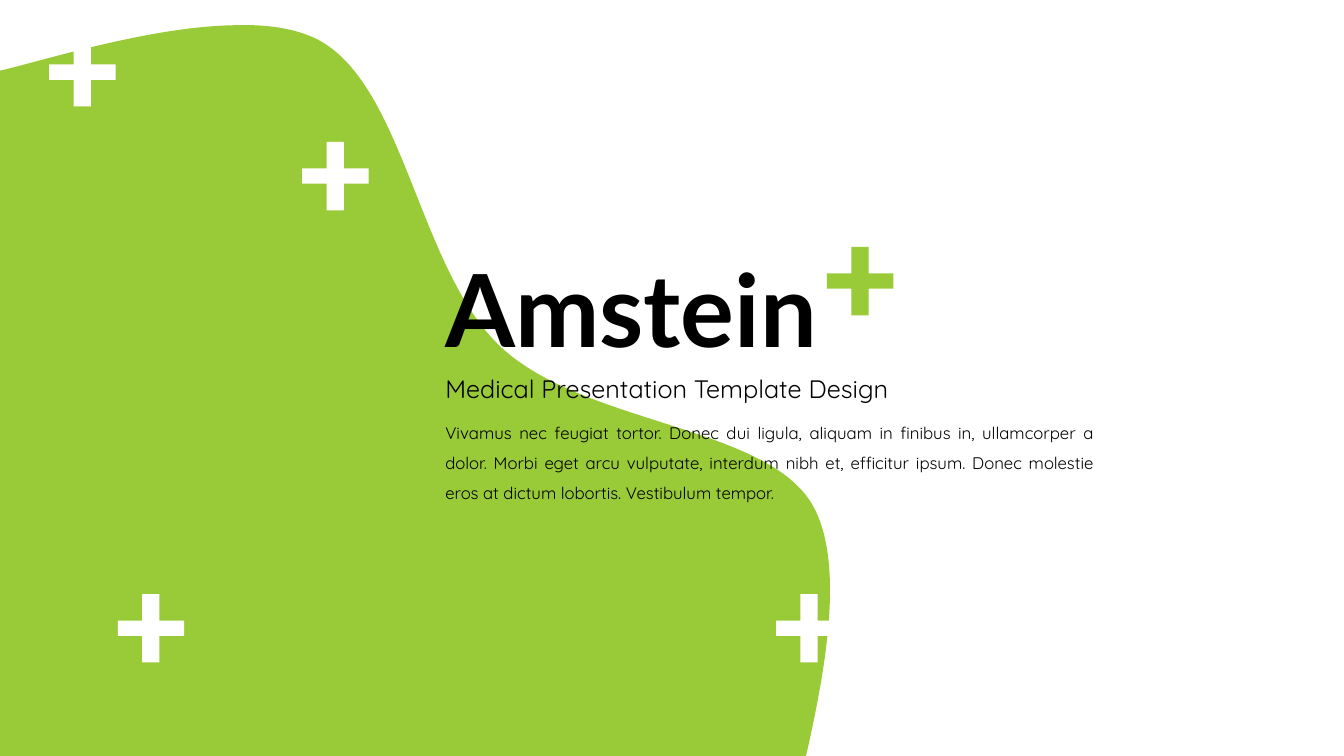
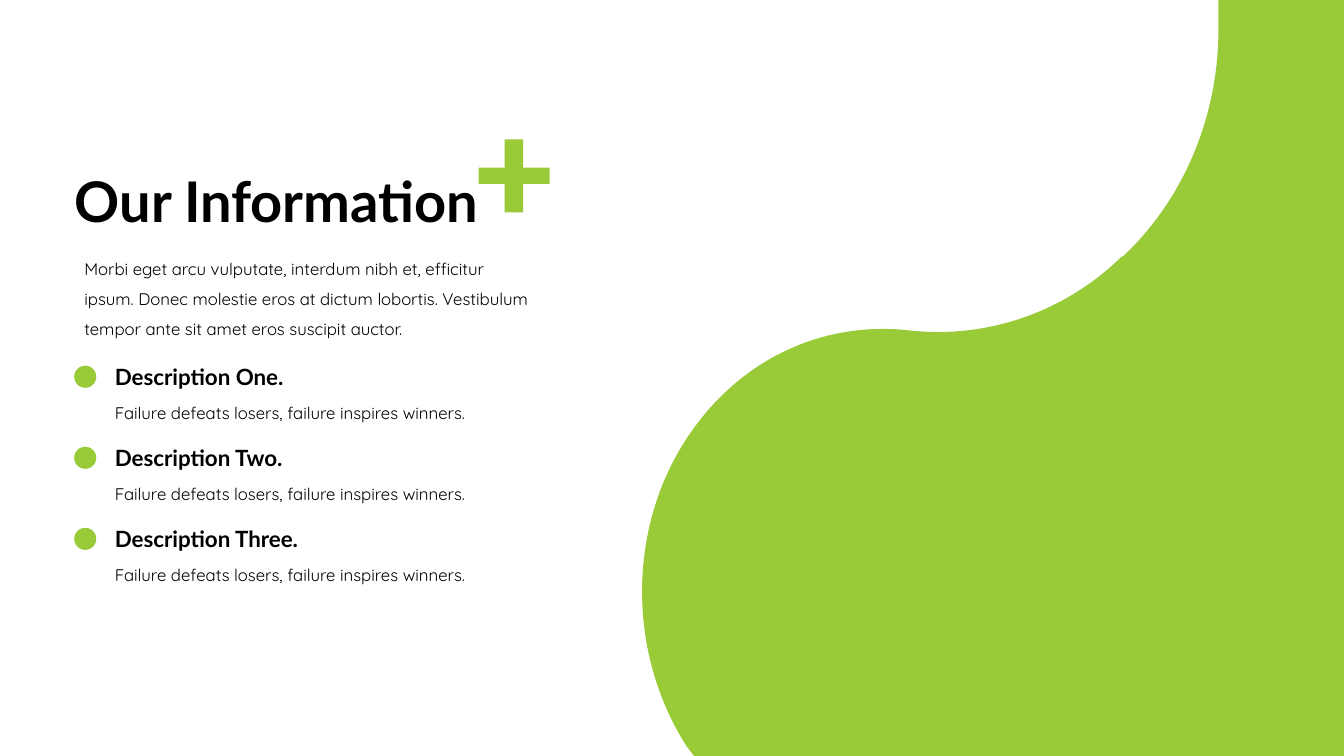
from lxml import etree
from pptx import Presentation
from pptx.dml.color import RGBColor
from pptx.enum.shapes import MSO_SHAPE
from pptx.enum.text import MSO_ANCHOR, MSO_AUTO_SIZE, PP_ALIGN
from pptx.oxml.ns import qn
from pptx.util import Pt

# Shared look
WIDTH, HEIGHT = 960.5, 540
GREEN, WHITE, BLACK = "99CB38", "FFFFFF", "000000"
HEAD_FONT, BODY_FONT = "Lato", "Quicksand"
TITLE_ONLY = 5
OVAL = MSO_SHAPE.OVAL
LEFT, JUSTIFY = PP_ALIGN.LEFT, PP_ALIGN.JUSTIFY
TOP, MIDDLE = MSO_ANCHOR.TOP, MSO_ANCHOR.MIDDLE
FIT_SHAPE, NO_FIT = MSO_AUTO_SIZE.SHAPE_TO_FIT_TEXT, MSO_AUTO_SIZE.NONE

# Outlines: one point is a straight line, three points are a Bézier curve
COVER_WAVE = [
    [(168.5, 18)],
    [(112.3, 18.7), (43.2, 39.6), (3.6, 49.7)],
    [(0, 50.4)], [(0, HEIGHT)], [(576, HEIGHT)], [(577.4, 534.2)],
    [(589, 481), (605.5, 398.9), (578.9, 357.8)],
    [(543.6, 303.8), (416.2, 302.4), (357.8, 247.7)],
    [(298.8, 192.2), (289.4, 60.5), (226.8, 28.1)],
    [(211, 20.2), (190.8, 17.3), (168.5, 18)],
]
INFO_WAVE = [
    [(870.7, 0)], [(WIDTH, 0)], [(WIDTH, HEIGHT)], [(496, HEIGHT)], [(491, 533.5)],
    [(447.8, 466.6), (447.8, 375.1), (493.2, 309.6)],
    [(531.4, 254.2), (591.1, 229), (650.9, 236.2)],
    [(705.6, 241.9), (760.3, 223.2), (800.6, 184.3)],
    [(801.4, 183.6), (802.1, 182.9), (802.8, 182.9)],
    [(846.7, 141.8), (871.9, 80.6), (870.7, 17.3)],
    [(870.7, 0)],
]
PLUS = [(17.5, 0), (29.8, 0), (29.8, 18.9), (47.5, 18.9), (47.5, 29.8), (29.8, 29.8),
        (29.8, 48.8), (17.5, 48.8), (17.5, 29.8), (0, 29.8), (0, 18.9), (17.5, 18.9)]


def rgb(color):
    return RGBColor.from_string(color)


def paint(sp, color):
    sp.fill.solid()
    sp.fill.fore_color.rgb = rgb(color)
    sp.line.fill.background()
    sp.shadow.inherit = False


def add_polygon(slide, points, color):
    points = [(Pt(x), Pt(y)) for x, y in points]
    builder = slide.shapes.build_freeform(*points[0], scale=1.0)
    builder.add_line_segments(points[1:], close=True)
    sp = builder.convert_to_shape()
    paint(sp, color)
    return sp


def add_wave(slide, outline, x, y, w, h):
    """Draw an outline with true curves; x, y, w, h are its bounds."""
    sp = add_polygon(slide, [step[-1] for step in outline], GREEN)
    sp.left, sp.top, sp.width, sp.height = Pt(x), Pt(y), Pt(w), Pt(h)
    curve = next(sp.element.iter(qn("a:path")))
    for child in list(curve):
        curve.remove(child)
    curve.set("w", str(Pt(w)))
    curve.set("h", str(Pt(h)))
    for i, step in enumerate(outline):
        tag = "a:moveTo" if i == 0 else "a:lnTo" if len(step) == 1 else "a:cubicBezTo"
        command = etree.SubElement(curve, qn(tag))
        for px, py in step:
            etree.SubElement(command, qn("a:pt"), x=str(Pt(px - x)), y=str(Pt(py - y)))
    etree.SubElement(curve, qn("a:close"))


def add_plus(slide, x, y, color, scale=1):
    add_polygon(slide, [(x + scale * dx, y + scale * dy) for dx, dy in PLUS], color)


def write(tf, text, size, font, bold=False, align=LEFT, spacing=1.0, anchor=TOP):
    tf.word_wrap = True
    tf.vertical_anchor = anchor
    p = tf.paragraphs[0]
    p.alignment = align
    p.line_spacing = spacing
    r = p.add_run()
    r.text = text
    r.font.size = Pt(size)
    r.font.name = font
    r.font.bold = bold
    r.font.color.rgb = rgb(BLACK)


def add_text(shapes, x, y, w, h, text, size=12, font=BODY_FONT, **style):
    sp = shapes.add_textbox(Pt(x), Pt(y), Pt(w), Pt(h))
    write(sp.text_frame, text, size, font, **style)
    sp.text_frame.auto_size = FIT_SHAPE


def set_title(slide, x, y, w, text, size):
    sp = slide.shapes.title
    sp.left, sp.top, sp.width, sp.height = Pt(x), Pt(y), Pt(w), Pt(104.4)
    write(sp.text_frame, text, size, HEAD_FONT, bold=True, spacing=0.9, anchor=MIDDLE)
    sp.text_frame.auto_size = NO_FIT
    # The title lies in front of the wave
    sp.element.getparent().append(sp.element)


def add_item(slide, y, heading, text):
    shapes = slide.shapes.add_group_shape().shapes
    add_text(shapes, 75, y, 205, 26.6, heading, 16, HEAD_FONT, bold=True, anchor=MIDDLE)
    add_text(shapes, 75, y + 21.3, 291.6, 28.8, text, align=JUSTIFY, spacing=1.5)
    dot = shapes.add_shape(OVAL, Pt(53), Pt(y + 5.5), Pt(15.8), Pt(15.8))
    paint(dot, GREEN)


def build_cover(slide):
    left = 311.2
    add_wave(slide, COVER_WAVE, 0, 18, 593.3, 522)
    add_text(slide.shapes, left, 262.8, 366, 28.8,
             "Medical Presentation Template Design", 18)
    add_text(slide.shapes, left, 290.9, 478, 72,
             "Vivamus nec feugiat tortor. Donec dui ligula, aliquam in finibus in, "
             "ullamcorper a dolor. Morbi eget arcu vulputate, interdum nibh et, "
             "efficitur ipsum. Donec molestie eros at dictum lobortis. "
             "Vestibulum tempor.", align=JUSTIFY, spacing=1.5)
    add_plus(slide, 591, 176.4, GREEN)
    for x, y in [(216, 101.4), (84.2, 424.4), (35.2, 27.2), (554.6, 424.4)]:
        add_plus(slide, x, y, WHITE)
    set_title(slide, left, 172.8, WIDTH - left, "Amstein", 72)


def build_information(slide):
    add_wave(slide, INFO_WAVE, 458.8, 0, WIDTH - 458.8, HEIGHT)
    for i, number in enumerate(["One", "Two", "Three"]):
        add_item(slide, 255.7 + 57.9 * i, f"Description {number}.",
                 "Failure defeats losers, failure inspires winners.")
    add_text(slide.shapes, 53.2, 173.8, 332, 72,
             "Morbi eget arcu vulputate, interdum nibh et, efficitur ipsum. Donec "
             "molestie eros at dictum lobortis. Vestibulum tempor ante sit amet "
             "eros suscipit auctor.", spacing=1.5)
    add_plus(slide, 342, 99.5, GREEN, scale=1.07)
    set_title(slide, 46.2, 93.6, 366.5, "Our Information", 40)


def main():
    prs = Presentation()
    prs.slide_width, prs.slide_height = Pt(WIDTH), Pt(HEIGHT)
    for build in (build_cover, build_information):
        build(prs.slides.add_slide(prs.slide_layouts[TITLE_ONLY]))
    prs.save("out.pptx")


if __name__ == "__main__":
    main()
